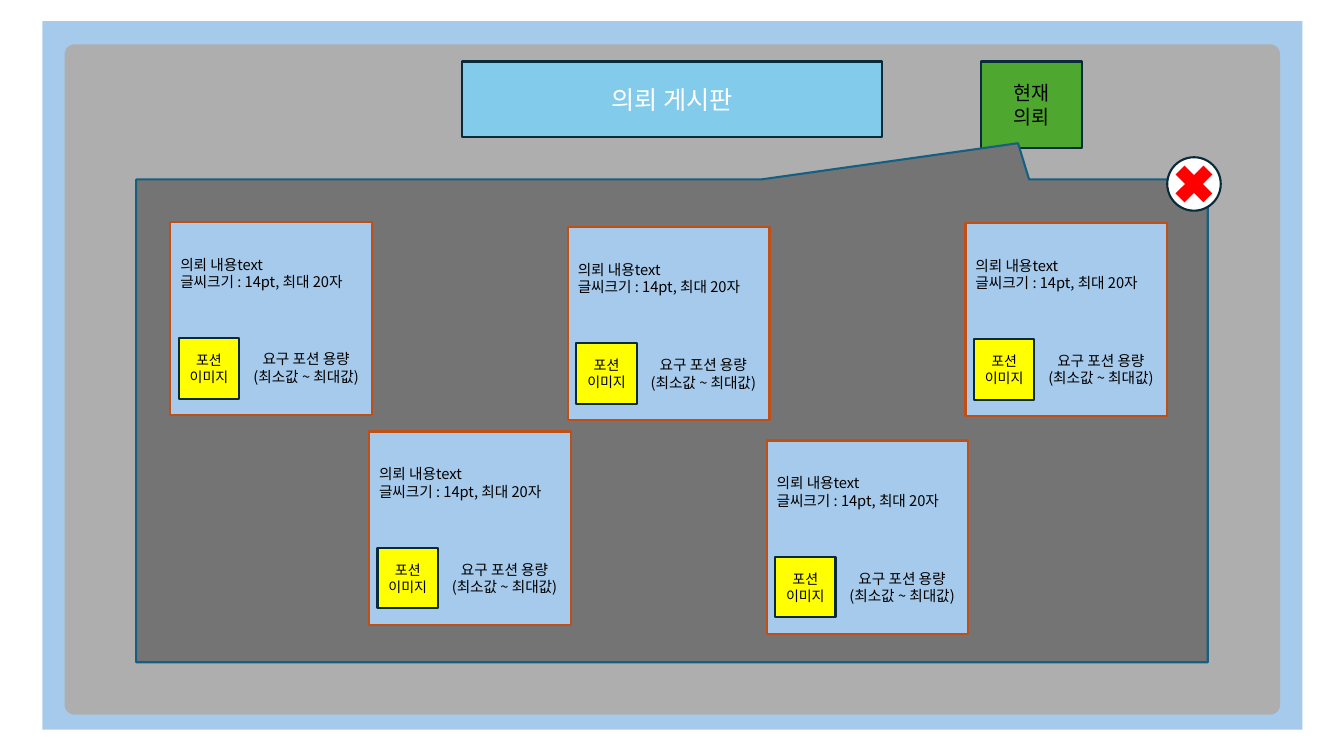
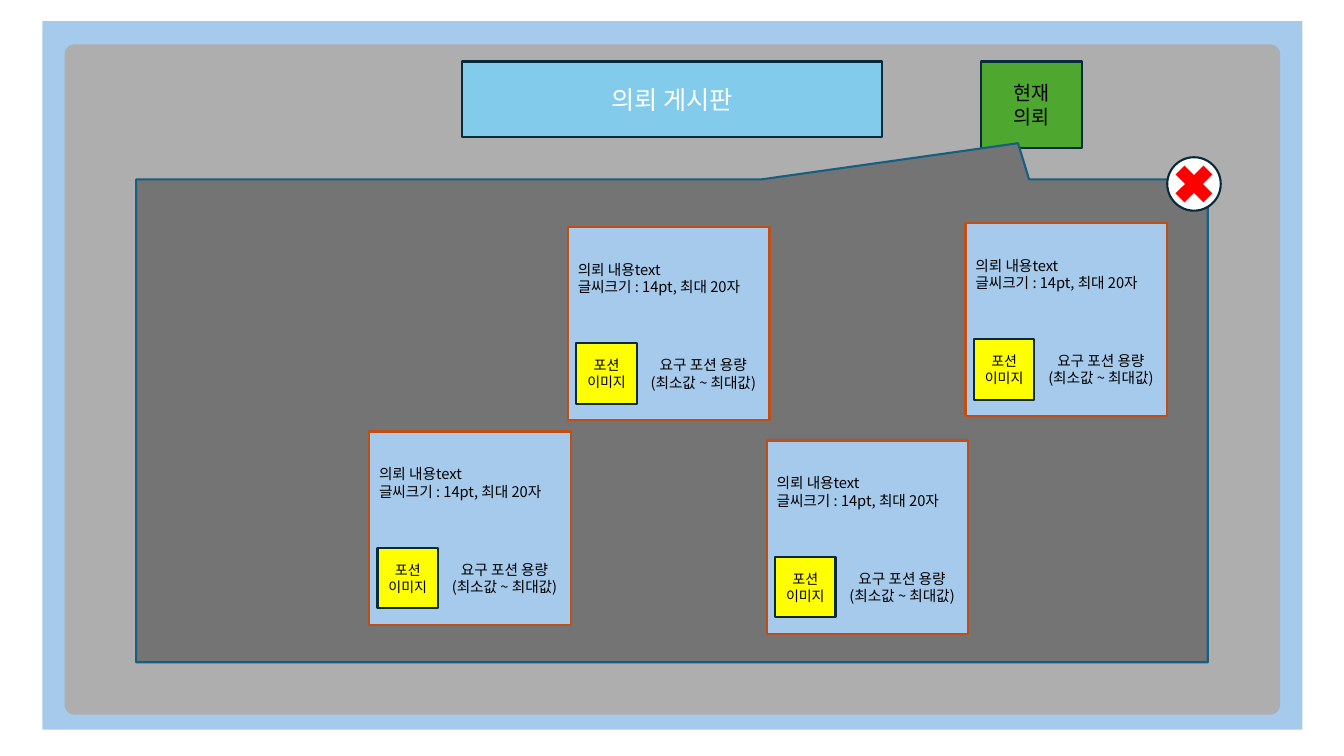
from lxml import etree
from pptx import Presentation, util as u
from pptx.dml.color import RGBColor
from pptx.enum import shapes, text
from pptx.oxml.ns import qn

FONT = "Noto Sans CJK KR"
COLORS = {
    "sky": "A6CAEC", "frame": "AEAEAE", "title": "83CBEB", "green": "4EA72E",
    "panel": "747474", "panel_line": "156082", "card_line": "C04F15",
    "yellow": "FFFF00", "red": "FF0000", "navy": "092A39",
    "white": "FFFFFF", "black": "000000",
}
KIND = shapes.MSO_SHAPE

deck = Presentation()
deck.slide_width, deck.slide_height = u.Inches(13.33), u.Inches(7.5)


# Boxes are left, top, width, height in percent of the slide's size
def place(box, fill=None, line=None, area=None):
    sides = (deck.slide_width, deck.slide_height) * 2
    box.left, box.top, box.width, box.height = (
        round(share * side / 100) for share, side in zip(area, sides))
    if fill:
        box.fill.solid()
        box.fill.fore_color.rgb = RGBColor.from_string(COLORS[fill])
        box.shadow.inherit = False
        if line:
            box.line.color.rgb = RGBColor.from_string(COLORS[line])
            box.line.width = u.Pt(1.5)
        else:
            box.line.fill.background()
    return box


def write(box, words, size, color="black", align=text.PP_ALIGN.CENTER,
          anchor=text.MSO_ANCHOR.MIDDLE):
    frame = box.text_frame
    frame.text = words
    frame.vertical_anchor = anchor
    for para in frame.paragraphs:
        para.alignment = align
        for span in para.runs:
            span.font.size = u.Pt(size)
            span.font.name = FONT
            span.font.color.rgb = RGBColor.from_string(COLORS[color])
            etree.SubElement(span.font._element, qn("a:ea"), typeface=FONT)


# Request cards: one per column, each with its own top
FIRST_COLUMN, COLUMN_STEP = 12.68, 14.79
CARD_TOPS = [29.33, 57.07, 30, 58.27, 29.47]
CARD_COLUMNS_BY_PAGE = [range(5), range(1, 5)]

for card_columns in CARD_COLUMNS_BY_PAGE:
    page = deck.slides.add_slide(deck.slide_layouts[5])
    add = page.shapes.add_shape

    # Backdrop and frame
    place(add(KIND.RECTANGLE, 0, 0, 0, 0), "sky", area=(3.15, 2.8, 93.75, 93.73))
    board = place(add(KIND.ROUNDED_RECTANGLE, 0, 0, 0, 0), "frame",
                  area=(4.8, 5.87, 90.45, 88.67))
    board.adjustments[0] = 0.015

    # Title, brought in front of the frame
    title = place(page.shapes.title, "title", "navy", (34.4, 8.13, 31.2, 10))
    write(title, "의뢰 게시판", 18, "white")
    title.text_frame.auto_size = text.MSO_AUTO_SIZE.NONE
    board.element.addnext(title.element)

    # Current request button and the panel it opens
    button = place(add(KIND.RECTANGLE, 0, 0, 0, 0), "green", "navy",
                   (73, 8.13, 7.5, 11.47))
    write(button, "현재\n의뢰", 14)
    panel = place(add(KIND.RECTANGULAR_CALLOUT, 0, 0, 0, 0), "panel", "panel_line",
                  (10.13, 23.73, 79.73, 63.87))
    panel.adjustments[0], panel.adjustments[1] = 0.323, -0.575

    # Cards
    for column in card_columns:
        left, top = FIRST_COLUMN + column * COLUMN_STEP, CARD_TOPS[column]
        card = page.shapes.add_group_shape().shapes
        place(card.add_shape(KIND.RECTANGLE, 0, 0, 0, 0), "sky", "card_line",
              (left, top, 15, 25.6))
        potion = place(card.add_shape(KIND.RECTANGLE, 0, 0, 0, 0), "yellow", "navy",
                       (left + 0.62, top + 15.4, 4.5, 8))
        write(potion, "포션\n이미지", 10)

        # The first card has a narrower amount box, whose text wraps
        narrow = column == 0
        amount_area = ((left + 4.88, top + 16.27, 10.43, 6) if narrow
                       else (left + 4.67, top + 16.4, 10.8, 6.27))
        labels = [
            ("의뢰 내용text\n글씨크기 : 14pt, 최대 20자", text.PP_ALIGN.LEFT,
             (left, top + 3.8, 14.78, 6), False),
            ("요구 포션 용량\n(최소값 ~ 최대값)", text.PP_ALIGN.CENTER,
             amount_area, narrow),
        ]
        for words, align, area, wrap in labels:
            label = place(card.add_textbox(0, 0, 0, 0), area=area)
            write(label, words, 10.5, align=align, anchor=text.MSO_ANCHOR.TOP)
            label.text_frame.word_wrap = wrap
            label.text_frame.auto_size = text.MSO_AUTO_SIZE.SHAPE_TO_FIT_TEXT

    # Close button
    close = page.shapes.add_group_shape().shapes
    for kind, fill, line in [(KIND.OVAL, "white", "navy"),
                             (KIND.MATH_MULTIPLY, "red", None)]:
        place(close.add_shape(kind, 0, 0, 0, 0), fill, line,
              (86.85, 20.8, 3.98, 7.07))

    # Groups take their size from what they hold
    for group in page.shapes:
        if group.shape_type == shapes.MSO_SHAPE_TYPE.GROUP:
            parts = list(group.shapes)
            left, top = min(p.left for p in parts), min(p.top for p in parts)
            right = max(p.left + p.width for p in parts)
            bottom = max(p.top + p.height for p in parts)
            group.left, group.top = left, top
            group.width, group.height = right - left, bottom - top
            frame = group.element.grpSpPr.find(qn("a:xfrm"))
            frame.find(qn("a:chOff")).set("x", str(left))
            frame.find(qn("a:chOff")).set("y", str(top))
            frame.find(qn("a:chExt")).set("cx", str(right - left))
            frame.find(qn("a:chExt")).set("cy", str(bottom - top))

deck.save("out.pptx")
